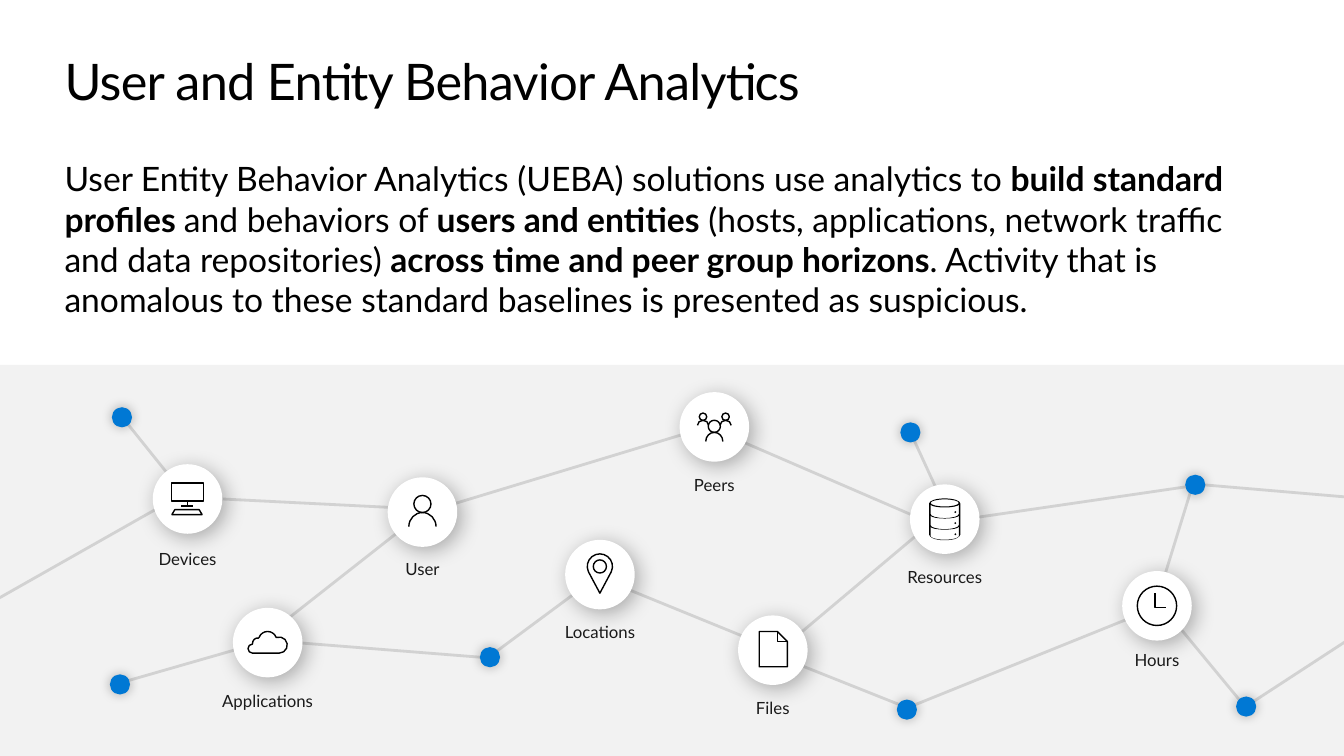
"""Build the behavior analytics slide: a title, a summary and a network of entities."""
from dataclasses import dataclass
from math import ceil, cos, radians, sin, tan

from lxml.etree import SubElement
from pptx import Presentation
from pptx.dml.color import RGBColor as Rgb
from pptx.enum.shapes import MSO_CONNECTOR as Wire, MSO_SHAPE as Form
from pptx.enum.text import PP_ALIGN as Align
from pptx.oxml.ns import qn
from pptx.util import Inches, Pt

Point = tuple[float, float]
Stroke = list[tuple[Point, ...]]

CELL = Inches(0.1)
COLS, ROWS = 133.3, 75


@dataclass(frozen=True)
class Theme:
    font: str = "Lato"
    ink: str = "000000"
    label: str = "1A1A1A"
    paper: str = "FFFFFF"
    band: str = "F2F2F2"
    link: str = "D2D2D2"
    speck: str = "737373"
    dot: str = "0078D4"
    title_size: float = 36
    body_size: float = 24
    label_size: float = 12
    link_width: float = 2
    speck_width: float = 2.25
    icon_width: float = 1


@dataclass(frozen=True)
class Shade:
    alpha: int
    blur: float
    dist: float
    angle: int


@dataclass(frozen=True)
class Part:
    strokes: list[Stroke]
    solid: bool = False


@dataclass(frozen=True)
class Hub:
    name: str
    x: float
    y: float
    width: float
    drop: float
    icon: list[Part]


THEME = Theme()
HUB_SHADE = Shade(30, 15, 4, 45)
DOT_SHADE = Shade(27, 8, 0, 0)
HUB_SIZE, DOT_SIZE = 6.9, 2


def cells(count: float) -> int:
    return round(count * CELL)


def poly(*points: Point) -> Stroke:
    return [(point,) for point in points]


def arc(x: float, y: float, wide: float, high: float, start: int = 0, stop: int = 360) -> Stroke:
    count = ceil(abs(stop - start) / 90)
    step = radians(stop - start) / count
    pull = 4 / 3 * tan(step / 4)

    def spot(turn: float, lean: float = 0) -> Point:
        return (x + wide * (cos(turn) - lean * sin(turn)),
                y + high * (sin(turn) + lean * cos(turn)))

    turns = [radians(start) + i * step for i in range(count + 1)]
    curves = [(spot(a, pull), spot(b, -pull), spot(b)) for a, b in zip(turns, turns[1:])]
    return [(spot(turns[0]),)] + curves


def ring(x: float, y: float, size: float) -> Stroke:
    return arc(x, y, size, size)


def panel(top: float) -> Stroke:
    return (arc(0, top, 1.4, 0.3, 180, 0) + arc(0, top + 0.95, 1.4, 0.4, 0, 180)
            + poly((-1.4, top)))


SCREEN = [Part([poly((-1.25, 1.05), (1.15, 1.05), (1.45, 1.55), (-1.55, 1.55), (-1.25, 1.05))])]
PERSON = [Part([ring(0, -0.8, 0.85), arc(0, 1.45, 1.35, 1.4, 180, 360)])]
CREW = [ring(0, -0.05, 0.6), arc(0, 1.45, 0.85, 0.9, 180, 360)]
for side in (-1.12, 1.12):
    CREW += [ring(side, -1, 0.37), arc(side, -0.15, 0.55, 0.5, 180, 360)]
CLOUD = [Part([
    arc(1.15, 0.25, 0.8, 0.8, 90, -110) + arc(0, -0.2, 0.9, 0.9, -20, -160)
    + arc(-1, 0.1, 0.5, 0.55, -80, -180) + arc(-1.5, 0.6, 0.45, 0.45, -90, -270)
    + poly((1.15, 1.05))
])]
PIN = [Part([poly((0, 1.85)) + arc(0, -0.8, 1.25, 1.25, 155, 385) + poly((0, 1.85)),
             ring(0, -0.8, 0.65)])]
PAGE = [Part([
    poly((1.45, -0.85), (0.45, -0.85), (0.45, -1.85)),
    poly((1.45, -0.85), (0.45, -1.85), (-1.35, -1.85), (-1.35, 1.65), (1.45, 1.65),
         (1.45, -0.85)),
])]
CLOCK = [Part([ring(0, 0, 1.95), poly((-0.2, -1.25), (-0.2, 0.15), (0.9, 0.15))])]
CASE = arc(0, -1.55, 1.55, 0.5, 180, 360) + arc(0, 1.55, 1.55, 0.5, 0, 180) + poly((-1.55, -1.55))
DISK = [Part([CASE, arc(0, -1.6, 1.4, 0.35)] + [panel(-1.45 + 1.1 * i) for i in range(3)], True)]
DISK += [Part([ring(1.05, -0.7 + 1.1 * i, 0.1)], True) for i in range(3)]

HUBS = [
    Hub("Devices", 18.6, 49.5, 9.9, 4.4, SCREEN),
    Hub("User", 41.9, 50.8, 7.7, 4.1, PERSON),
    Hub("Peers", 70.85, 42.35, 14, 4.25, [Part(CREW)]),
    Hub("Applications", 26.55, 63.75, 13.7, 4.3, CLOUD),
    Hub("Locations", 59.5, 57, 10.5, 4.2, PIN),
    Hub("Files", 76.65, 64.5, 4.3, 4.2, PAGE),
    Hub("Resources", 93.7, 51.5, 11.4, 4.2, DISK),
    Hub("Hours", 114.75, 60.1, 6.7, 3.9, CLOCK),
]
DOTS = [(12.1, 41.4), (11.9, 67.9), (48.6, 65.2), (90.3, 42.9),
        (89.95, 70.4), (118.55, 48.1), (123.6, 70.1)]
LINKS = [
    ((41.5, 51.2), (28.4, 61.5)), ((12.7, 42.1), (18.8, 49.7)),
    ((39.9, 50.4), (22, 49.5)), ((42, 50.9), (69.7, 42.5)),
    ((17.8, 49.2), (-2.5, 60.7)), ((78.2, 63.8), (92.1, 52.1)),
    ((122.9, 69.4), (117.2, 62.5)), ((78.4, 65.6), (89.7, 70.1)),
    ((90.8, 69.9), (114.6, 60.3)), ((49, 64.8), (59.4, 57.1)),
    ((73.8, 43.9), (91.4, 51.5)), ((95.7, 51.5), (117.6, 48.3)),
    ((60.4, 57.7), (75.1, 63.7)), ((115.3, 57.8), (118.2, 48.4)),
    ((144.1, 56.7), (123.4, 70.2)), ((47.6, 65.2), (30, 63.8)),
    ((12.1, 67.7), (27.4, 63.3)), ((138.1, 49.7), (119.4, 48.1)),
    ((93.7, 50.3), (90.4, 43.1)),
]
STAND = [((18.6, 49.7), (18.6, 50.2)), ((18, 50.2), (19.1, 50.2))]
SUMMARY = [
    ("User Entity Behavior Analytics (UEBA) solutions use analytics to ", False),
    ("build standard profiles ", True),
    ("and behaviors of ", False),
    ("users and entities", True),
    (" (hosts, applications, network traffic and data repositories) ", False),
    ("across time and peer group horizons", True),
    (". Activity that is anomalous to these standard baselines is presented as suspicious.", False),
]


def add_form(slide, form: Form, x: float, y: float, wide: float, high: float,
             fill: str, shade: Shade | None = None):
    shape = slide.shapes.add_shape(form, cells(x), cells(y), cells(wide), cells(high))
    shape.fill.solid()
    shape.fill.fore_color.rgb = Rgb.from_string(fill)
    shape.line.fill.background()
    shape.shadow.inherit = False
    if shade:
        glow = SubElement(shape._element.spPr.find(qn("a:effectLst")), qn("a:outerShdw"),
                          blurRad=str(Pt(shade.blur)), dist=str(Pt(shade.dist)),
                          dir=str(shade.angle * 60000), algn="ctr", rotWithShape="0")
        tint = SubElement(glow, qn("a:srgbClr"), val=THEME.ink)
        SubElement(tint, qn("a:alpha"), val=str(shade.alpha * 1000))
    return shape


def add_disc(slide, x: float, y: float, size: float, fill: str, shade: Shade) -> None:
    add_form(slide, Form.OVAL, x - size / 2, y - size / 2, size, size, fill, shade)


def ink_line(shape) -> None:
    shape.line.color.rgb = Rgb.from_string(THEME.ink)
    shape.line.width = Pt(THEME.icon_width)


def add_link(slide, start: Point, end: Point, color: str, width: float) -> None:
    ends = [cells(part) for part in start + end]
    link = slide.shapes.add_connector(Wire.STRAIGHT, *ends)
    link.line.color.rgb = Rgb.from_string(color)
    link.line.width = Pt(width)
    SubElement(link._element.spPr, qn("a:effectLst"))


def add_text(slide, x: float, y: float, wide: float, high: float,
             parts: list[tuple[str, bool]], size: float, color: str, pad: float = 0):
    box = slide.shapes.add_textbox(cells(x), cells(y), cells(wide), cells(high))
    frame = box.text_frame
    frame.word_wrap = True
    frame.margin_left = frame.margin_right = 0
    frame.margin_top = frame.margin_bottom = cells(pad)
    line = frame.paragraphs[0]
    for words, bold in parts:
        run = line.add_run()
        run.text = words
        run.font.name, run.font.size, run.font.bold = THEME.font, Pt(size), bold
        run.font.color.rgb = Rgb.from_string(color)
    return line


def bend(shape, strokes: list[Stroke]) -> None:
    track = shape._element.spPr.find(".//" + qn("a:path"))
    lines = iter(track.findall(qn("a:lnTo")))
    for step in (step for stroke in strokes for step in stroke[1:]):
        nodes = [next(lines) for _ in step]
        if len(nodes) == 3:
            curve = SubElement(track, qn("a:cubicBezTo"))
            nodes[0].addprevious(curve)
            for node in nodes:
                curve.append(node[0])
                track.remove(node)


def add_part(slide, x: float, y: float, part: Part) -> None:
    paths = [[(cells(x + px), cells(y + py)) for step in stroke for px, py in step]
             for stroke in part.strokes]
    pen = slide.shapes.build_freeform(*paths[0][0], scale=1.0)
    for i, trail in enumerate(paths):
        if i:
            pen.move_to(*trail[0])
        pen.add_line_segments(trail[1:], close=trail[0] == trail[-1])
    shape = pen.convert_to_shape()
    bend(shape, part.strokes)
    shape.shadow.inherit = False
    if part.solid:
        shape.fill.solid()
        shape.fill.fore_color.rgb = Rgb.from_string(THEME.ink)
        shape.line.fill.background()
    else:
        shape.fill.background()
        ink_line(shape)


def add_hub(slide, hub: Hub) -> None:
    add_disc(slide, hub.x, hub.y, HUB_SIZE, THEME.paper, HUB_SHADE)
    for part in hub.icon:
        add_part(slide, hub.x, hub.y, part)
    line = add_text(slide, hub.x - hub.width / 2, hub.y + hub.drop, hub.width, 3,
                    [(hub.name, False)], THEME.label_size, THEME.label, 0.5)
    line.alignment = Align.CENTER


def main() -> None:
    deck = Presentation()
    deck.slide_width, deck.slide_height = cells(COLS), cells(ROWS)
    slide = deck.slides.add_slide(deck.slide_layouts[6])
    add_form(slide, Form.RECTANGLE, 0, 36.2, COLS, 39, THEME.band)
    title = add_text(slide, 6.4, 5, 120.5, 6.1, [("User and Entity Behavior Analytics", False)],
                     THEME.title_size, THEME.ink)
    title.runs[0].font._element.set("spc", "-50")
    add_text(slide, 6.4, 15.7, 120.5, 16.2, SUMMARY, THEME.body_size, THEME.ink)
    for start, end in LINKS:
        add_link(slide, start, end, THEME.link, THEME.link_width)
    add_link(slide, (26.6, 51.4), (26.6, 51.4), THEME.speck, THEME.speck_width)
    for x, y in DOTS:
        add_disc(slide, x, y, DOT_SIZE, THEME.dot, DOT_SHADE)
    for hub in HUBS:
        add_hub(slide, hub)
    ink_line(screen := add_form(slide, Form.RECTANGLE, 17, 47.9, 3.2, 1.8, THEME.paper))
    screen.fill.background()
    for start, end in STAND:
        add_link(slide, start, end, THEME.ink, THEME.icon_width)
    deck.save("out.pptx")


if __name__ == "__main__":
    main()
